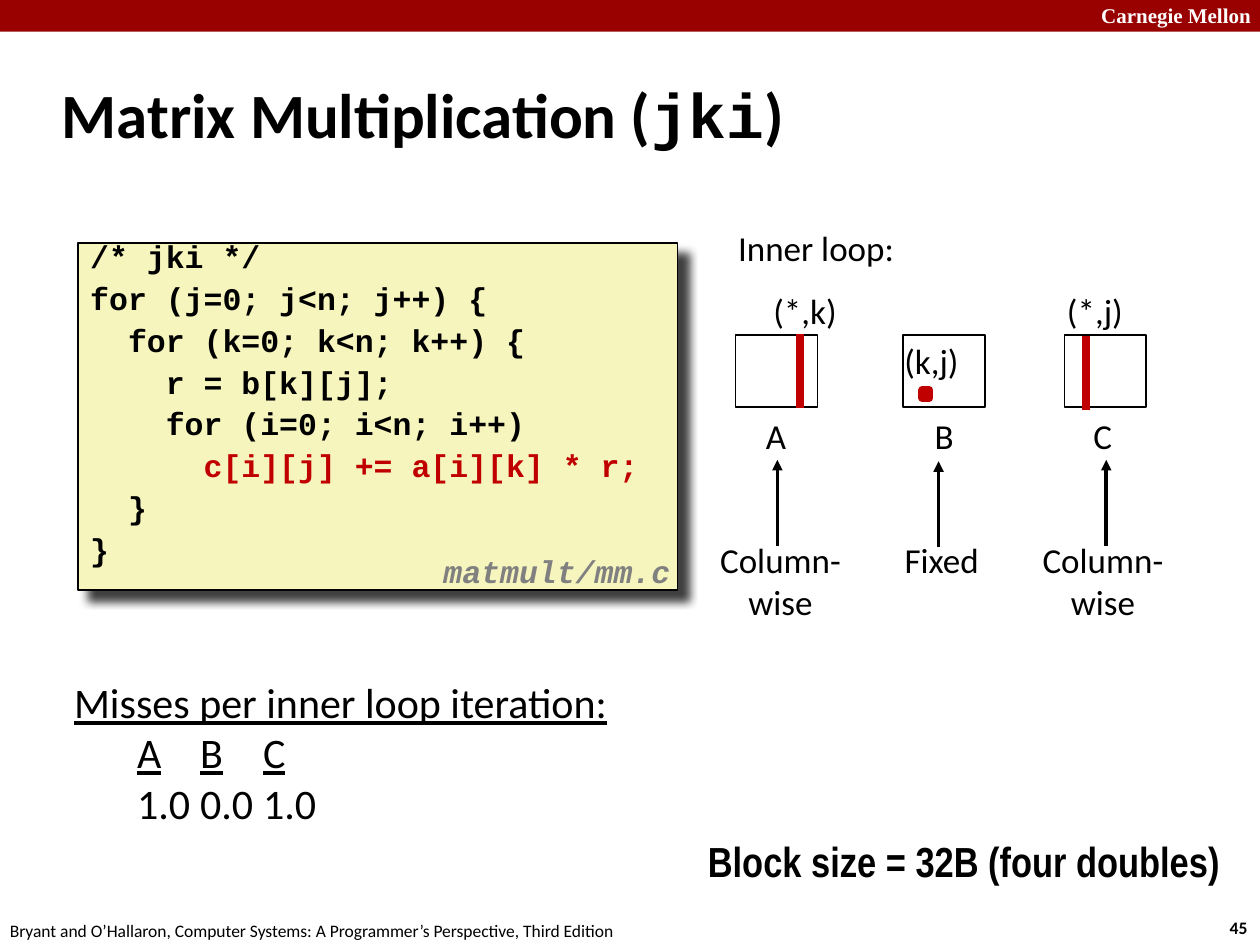
from lxml import etree
from pptx import Presentation
from pptx import util as u
from pptx.dml import color
from pptx.enum import shapes, text
from pptx.oxml import ns

Cm, Pt = u.Cm, u.Pt
COLORS = {k: color.RGBColor.from_string(v) for k, v in {
    "bar": "990000", "white": "FFFFFF", "black": "000000", "code": "F6F5BD",
    "red": "C00000", "dot": "FF0000", "gray": "808080"}.items()}
BODY = {"name": "Calibri", "size": Pt(20)}
SMALL = {"name": "Calibri", "size": Pt(10)}
CODE = {"name": "Courier New", "size": Pt(18), "bold": True}
RED = {"color": "red"}


def add_runs(p, runs, fmt):
    """Add (text, overrides) runs to p; each override applies to its run only."""
    for words, extra in runs:
        r = p.add_run()
        r.text = words
        for key, value in {"color": "black", **fmt, **extra}.items():
            if key == "color":
                r.font.color.rgb = COLORS[value]
            else:
                setattr(r.font, key, value)


def add_text(at, lines, fmt=BODY, wrap=False, align=text.PP_ALIGN.LEFT):
    tf = s.shapes.add_textbox(*map(Cm, at)).text_frame
    tf.word_wrap = wrap
    tf.auto_size = text.MSO_AUTO_SIZE.SHAPE_TO_FIT_TEXT
    for i, line in enumerate(lines.split("\n")):
        p = tf.add_paragraph() if i else tf.paragraphs[0]
        p.alignment = align
        add_runs(p, [(line, {})], fmt)
    return tf


prs = Presentation()
prs.slide_width, prs.slide_height = Cm(25.4), Cm(19.05)
s = prs.slides.add_slide(prs.slide_layouts[1])

# Title and list of misses
title, misses = s.placeholders
for sp, at, anchor in (
        (title, (0.99, 1.22, 21.08, 2.11), text.MSO_ANCHOR.MIDDLE),
        (misses, (1.24, 13.51, 15.27, 3.4), text.MSO_ANCHOR.TOP)):
    sp.left, sp.top, sp.width, sp.height = map(Cm, at)
    sp.text_frame.auto_size = text.MSO_AUTO_SIZE.NONE
    sp.text_frame.vertical_anchor = anchor

p = title.text_frame.paragraphs[0]
p.alignment = text.PP_ALIGN.LEFT
add_runs(p, [("Matrix Multiplication (", {}), ("jki", {"name": "Courier New"}), (")", {})],
         {"name": "Calibri", "size": Pt(36), "bold": True})

line_under = {"underline": True}
miss_lines = [
    [("Misses per inner loop iteration:", line_under)],
    [run for name in "ABC" for run in (("\t", {}), (name, line_under))],
    [("\t1.0\t0.0\t1.0", {})],
]
tf = misses.text_frame
for i, runs in enumerate(miss_lines):
    p = tf.add_paragraph() if i else tf.paragraphs[0]
    pPr = p._p.get_or_add_pPr()
    pPr.set("marL", "0")
    pPr.set("indent", "0")
    etree.SubElement(pPr, ns.qn("a:buNone"))
    tabs = etree.SubElement(pPr, ns.qn("a:tabLst"))
    for column in range(3):
        etree.SubElement(tabs, ns.qn("a:tab"), pos=str(Cm(4.04 + 2.49 * column)), algn="l")
    p.space_before = Pt(0)
    add_runs(p, runs, {"name": "Calibri", "size": Pt(24)})

# Bar, code panel, matrices and the element of B
matrix_lefts = (14.83, 18.21, 21.46)
rects = [((0, 0, 25.4, 0.64), "bar", None, 0),
         ((1.57, 4.9, 12.09, 6.99), "code", "black", 1)]
rects += [((x, 6.76, 1.65, 1.45), "white", "black", 1) for x in matrix_lefts]
rects.append(((18.59, 7.87, 0.15, 0.15), "dot", "red", 4.5))
drawn = []
for at, fill, line, width in rects:
    sp = s.shapes.add_shape(shapes.MSO_SHAPE.RECTANGLE, *map(Cm, at))
    sp.shadow.inherit = False
    sp.fill.solid()
    sp.fill.fore_color.rgb = COLORS[fill]
    if line:
        sp.line.color.rgb = COLORS[line]
        sp.line.width = Pt(width)
    else:
        sp.line.fill.background()
    drawn.append(sp)

panel = drawn[1]
effects = panel._element.spPr.find(ns.qn("a:effectLst"))
shadow = etree.SubElement(effects, ns.qn("a:outerShdw"), blurRad=str(Pt(5)),
                          dist=str(Pt(8.5)), dir=str(45 * 60000), algn="tl", rotWithShape="0")
tint = etree.SubElement(shadow, ns.qn("a:srgbClr"), val=str(COLORS["black"]))
etree.SubElement(tint, ns.qn("a:alpha"), val="75000")

code_lines = [
    [("/* jki */", {})],
    [("for (j=0; j<n; j++) {", {})],
    [("  for (k=0; k<n; k++) {", {})],
    [("    r = b[k][j];", {})],
    [("    for (i=0; i<n; i++)", {})],
    [("      ", {}), ("c[i][j] += a[i][k] * r;", RED)],
    [("  }", {})],
    [("}", {})],
]
tf = panel.text_frame
tf.vertical_anchor = text.MSO_ANCHOR.TOP
for i, runs in enumerate(code_lines):
    p = tf.add_paragraph() if i else tf.paragraphs[0]
    p.alignment = text.PP_ALIGN.LEFT
    p.line_spacing = 0.65
    p.space_before = Pt(9.85 if i else 0)
    add_runs(p, runs, CODE)

# Highlighted columns and arrows
for x, y1, y2, ink, width in ((16.13, 8.23, 6.73, "red", 4.5),
                              (21.89, 8.26, 6.78, "red", 4.5),
                              (15.67, 11, 9.27, "black", 2),
                              (18.92, 11.02, 9.3, "black", 2),
                              (22.3, 11, 9.27, "black", 2)):
    c = s.shapes.add_connector(shapes.MSO_CONNECTOR.STRAIGHT, Cm(x), Cm(y1), Cm(x), Cm(y2))
    c.line.color.rgb = COLORS[ink]
    c.line.width = Pt(width)
    if ink == "black":
        etree.SubElement(c.line._get_or_add_ln(), ns.qn("a:tailEnd"), type="triangle")
    etree.SubElement(c._element.spPr, ns.qn("a:effectLst"))

# Labels
for words, x, y, w in (("Inner loop:", 14.63, 4.45, 3.68),
                       ("(*,k)", 15.34, 5.72, 1.8),
                       ("(k,j)", 17.98, 6.71, 1.6),
                       ("(*,j)", 21.26, 5.72, 1.65),
                       ("A", 15.19, 8.23, 0.94),
                       ("B", 18.59, 8.23, 0.89),
                       ("C", 21.79, 8.23, 0.89)):
    add_text((x, y, w, 1.09), words)
for words, x, w, h in (("Column-\nwise", 14.25, 2.97, 1.96),
                       ("Fixed", 17.98, 2.01, 1.09),
                       ("Column-\nwise", 20.75, 2.97, 1.96)):
    add_text((x, 10.74, w, h), words, align=text.PP_ALIGN.CENTER)
tf = add_text((8.69, 11.07, 5.28, 0.99), "matmult/mm.c", {**CODE, "color": "gray", "italic": True})
tf.paragraphs[0].line_spacing = 0.94
add_text((14.02, 16.71, 11.18, 1.27), "Block size = 32B (four doubles)",
         {"name": "Arial Narrow", "size": Pt(24), "bold": True}, wrap=True)

# Header and footer
add_text((21.95, -0.08, 3.63, 0.76), "Carnegie Mellon",
         {"name": "Times New Roman", "size": Pt(12), "bold": True, "color": "white"}, wrap=True)
add_text((24.54, 18.36, 0.94, 0.69), "45", {**SMALL, "bold": True})
add_text((-0.05, 18.42, 12.9, 0.69),
         "Bryant and O’Hallaron, Computer Systems: A Programmer’s Perspective, Third Edition", SMALL)

prs.save("out.pptx")
